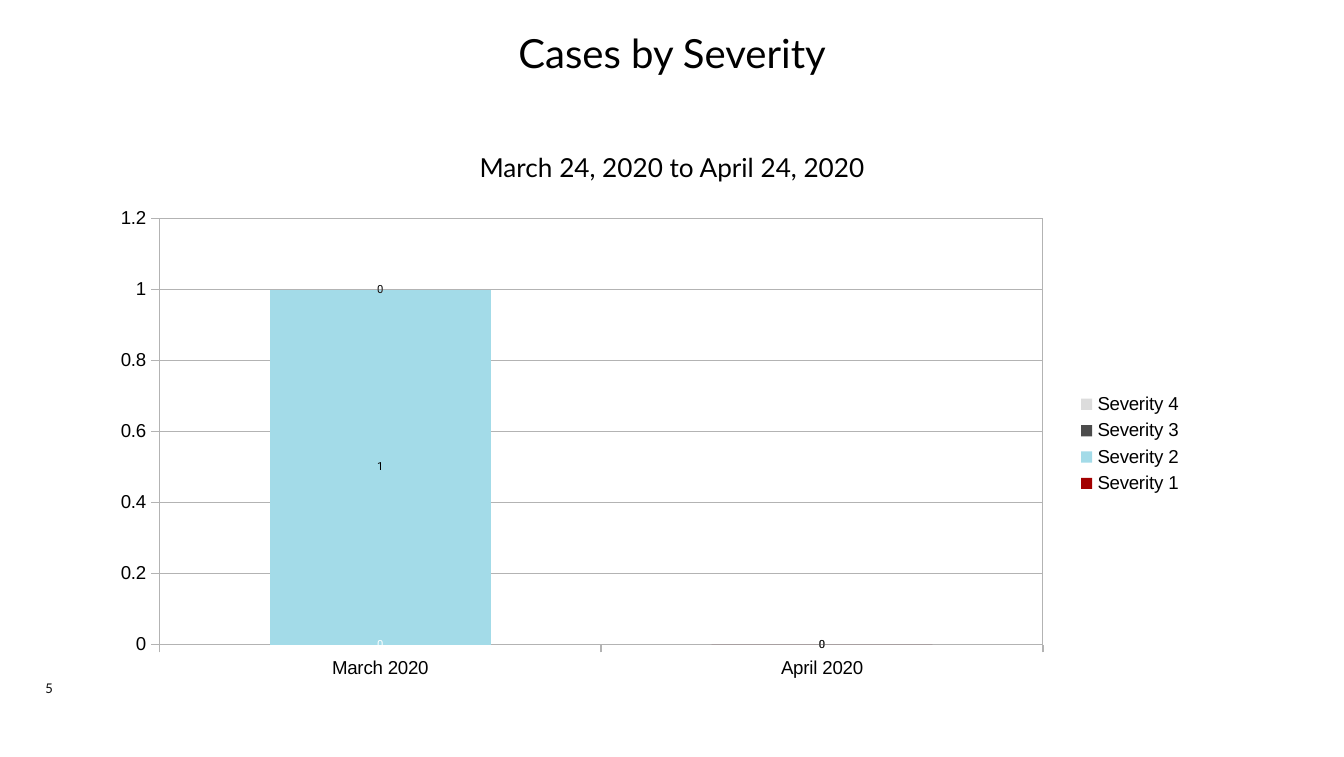
import dataclasses

import lxml.etree
import pptx
import pptx.chart.data
import pptx.dml.color
import pptx.enum.chart
import pptx.enum.text
import pptx.oxml
import pptx.oxml.ns
import pptx.util

Cm, Pt = pptx.util.Cm, pptx.util.Pt
Anchor = pptx.enum.text.MSO_ANCHOR


@dataclasses.dataclass
class Box:
    left: float
    top: float
    width: float
    height: float

    def lengths(self):
        return [Cm(side) for side in dataclasses.astuple(self)]


class Theme:
    black, white, number, grid = "000000", "FFFFFF", "141414", "B3B3B3"
    title = dict(name="Lato", size=21.5, color=black)
    subtitle = dict(name="Lato", size=14, color=black)
    page_number = dict(name="Calibri", size=8, color=number)
    chart = dict(name="Arial", size=10, color=black)
    label = dict(name="Roboto", size=6)


MONTHS = ["March 2020", "April 2020"]
# name, cases per month, fill, label colour
SEVERITIES = [
    ("Severity 1", (0, 0), "A30000", Theme.white),
    ("Severity 2", (1, 0), "A3DBE8", Theme.black),
    ("Severity 3", (0, 0), "4C4C4C", Theme.white),
    ("Severity 4", (0, 0), "DCDCDC", Theme.black),
]


def rgb(value):
    return pptx.dml.color.RGBColor.from_string(value)


def style_font(font, name, size, color):
    for key, value in dict(name=name, size=Pt(size), bold=False).items():
        setattr(font, key, value)
    font.color.rgb = rgb(color)


def write_text(shape, box, text, style, anchor):
    """Place a text shape and fill it with one centred line."""
    for key, value in zip(("left", "top", "width", "height"), box.lengths()):
        setattr(shape, key, value)
    frame = shape.text_frame
    settings = dict(margin_left=0, margin_top=0, margin_right=0, margin_bottom=0,
                    word_wrap=True, vertical_anchor=anchor,
                    auto_size=pptx.enum.text.MSO_AUTO_SIZE.NONE)
    for key, value in settings.items():
        setattr(frame, key, value)
    para = frame.paragraphs[0]
    para.alignment = pptx.enum.text.PP_ALIGN.CENTER
    span = para.add_run()
    span.text = text
    style_font(span.font, **style)


def add_heading(page, box):
    write_text(page.shapes.title, Box(box.left, box.top, box.width, 1.42),
               "Cases by Severity", Theme.title, Anchor.TOP)
    period = Box(box.left, box.top + 1.91, box.width, 1.45)
    write_text(page.shapes.add_textbox(*period.lengths()), period,
               "March 24, 2020 to April 24, 2020", Theme.subtitle, Anchor.MIDDLE)


def add_page_number(page, box):
    write_text(page.shapes.add_textbox(*box.lengths()), box, "5",
               Theme.page_number, Anchor.BOTTOM)


def frame_plot(chart):
    """Fix the inner plot area and outline it in the grid colour."""
    plot_area = chart._chartSpace.chart.plotArea
    for layout in plot_area.findall(pptx.oxml.ns.qn("c:layout")):
        plot_area.remove(layout)
    sides = "".join(f'<c:{key} val="{value}"/>' for key, value in
                    dict(x=0.05, y=0.04, w=0.81, h=0.87).items())
    plot_area.insert(0, pptx.oxml.parse_xml(
        f'<c:layout {pptx.oxml.ns.nsdecls("c")}><c:manualLayout>'
        '<c:layoutTarget val="inner"/><c:xMode val="edge"/><c:yMode val="edge"/>'
        f'{sides}</c:manualLayout></c:layout>'))
    plot_area.append(pptx.oxml.parse_xml(
        f'<c:spPr {pptx.oxml.ns.nsdecls("c", "a")}><a:noFill/><a:ln w="0"><a:solidFill>'
        f'<a:srgbClr val="{Theme.grid}"/></a:solidFill></a:ln></c:spPr>'))


def style_axis(axis):
    axis.major_tick_mark = pptx.enum.chart.XL_TICK_MARK.OUTSIDE
    axis.minor_tick_mark = pptx.enum.chart.XL_TICK_MARK.NONE
    style_font(axis.tick_labels.font, **Theme.chart)
    lines = [axis.format.line]
    if axis.has_major_gridlines:
        lines.append(axis.major_gridlines.format.line)
    for line in lines:
        line.color.rgb = rgb(Theme.grid)
        line.width = 0


def add_severity_chart(page, box):
    data = pptx.chart.data.CategoryChartData()
    data.categories = MONTHS
    for name, cases, _, _ in SEVERITIES:
        data.add_series(name, cases)
    chart = page.shapes.add_chart(pptx.enum.chart.XL_CHART_TYPE.COLUMN_STACKED,
                                  *box.lengths(), data).chart
    chart.has_title = False
    style_font(chart.font, **Theme.chart)

    plot = chart.plots[0]
    for key, value in dict(gap_width=100, overlap=100, vary_by_categories=False).items():
        setattr(plot, key, value)
    for series, (_, _, fill, label_color) in zip(plot.series, SEVERITIES):
        series.format.fill.solid()
        series.format.fill.fore_color.rgb = rgb(fill)
        labels = series.data_labels
        labels.show_value = True
        labels.position = pptx.enum.chart.XL_LABEL_POSITION.CENTER
        style_font(labels.font, color=label_color, **Theme.label)

    scale = dict(minimum_scale=0, maximum_scale=1.2, major_unit=0.2,
                 has_major_gridlines=True)
    for key, value in scale.items():
        setattr(chart.value_axis, key, value)
    for axis in (chart.category_axis, chart.value_axis):
        style_axis(axis)

    chart.has_legend = True
    chart.legend.position = pptx.enum.chart.XL_LEGEND_POSITION.RIGHT
    chart.legend.include_in_layout = False
    style_font(chart.legend.font, **Theme.chart)
    frame_plot(chart)


def main():
    deck = pptx.Presentation()
    deck.slide_width, deck.slide_height = Cm(25.4), Cm(14.3)
    page = deck.slides.add_slide(deck.slide_layouts.get_by_name("Title Only"))
    add_severity_chart(page, Box(1.98, 3.76, 20.62, 9.25))
    add_heading(page, Box(1.91, 0.53, 21.59, 3.36))
    add_page_number(page, Box(0.08, 12.78, 1.7, 0.38))
    deck.save("out.pptx")


if __name__ == "__main__":
    main()
